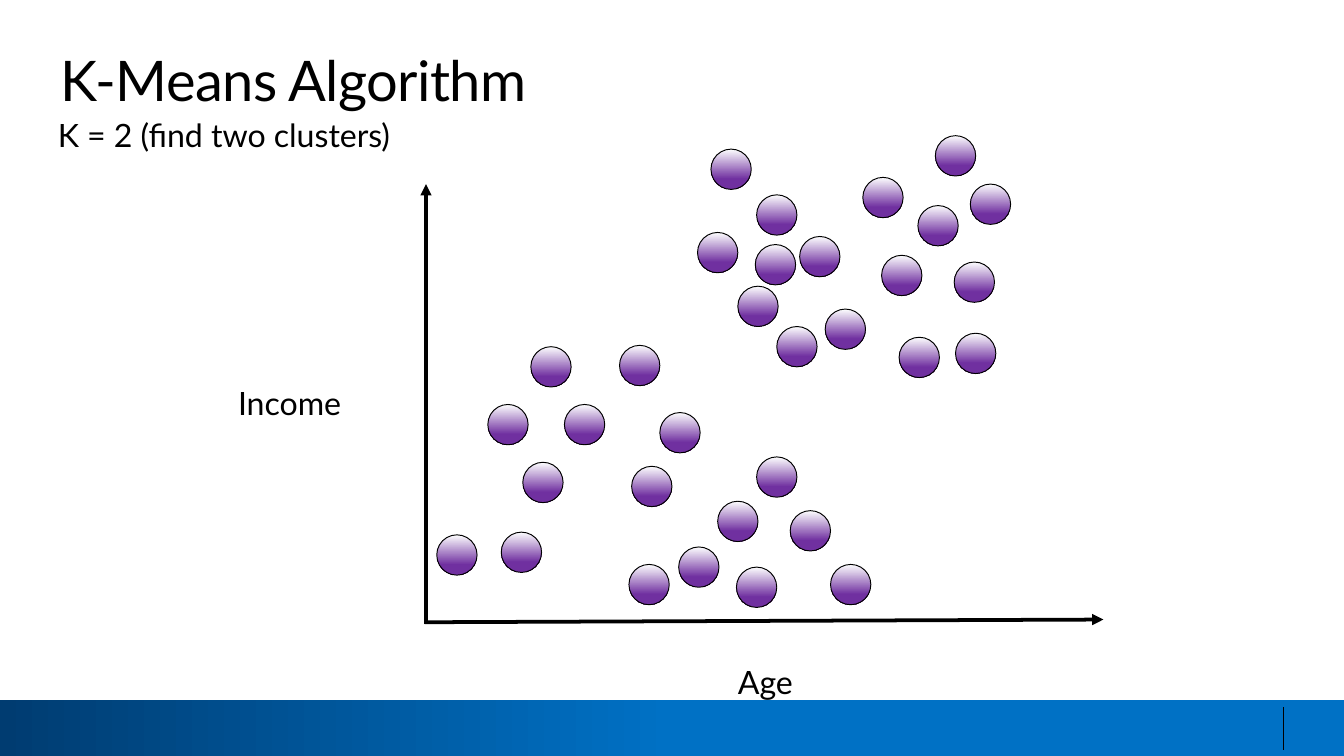
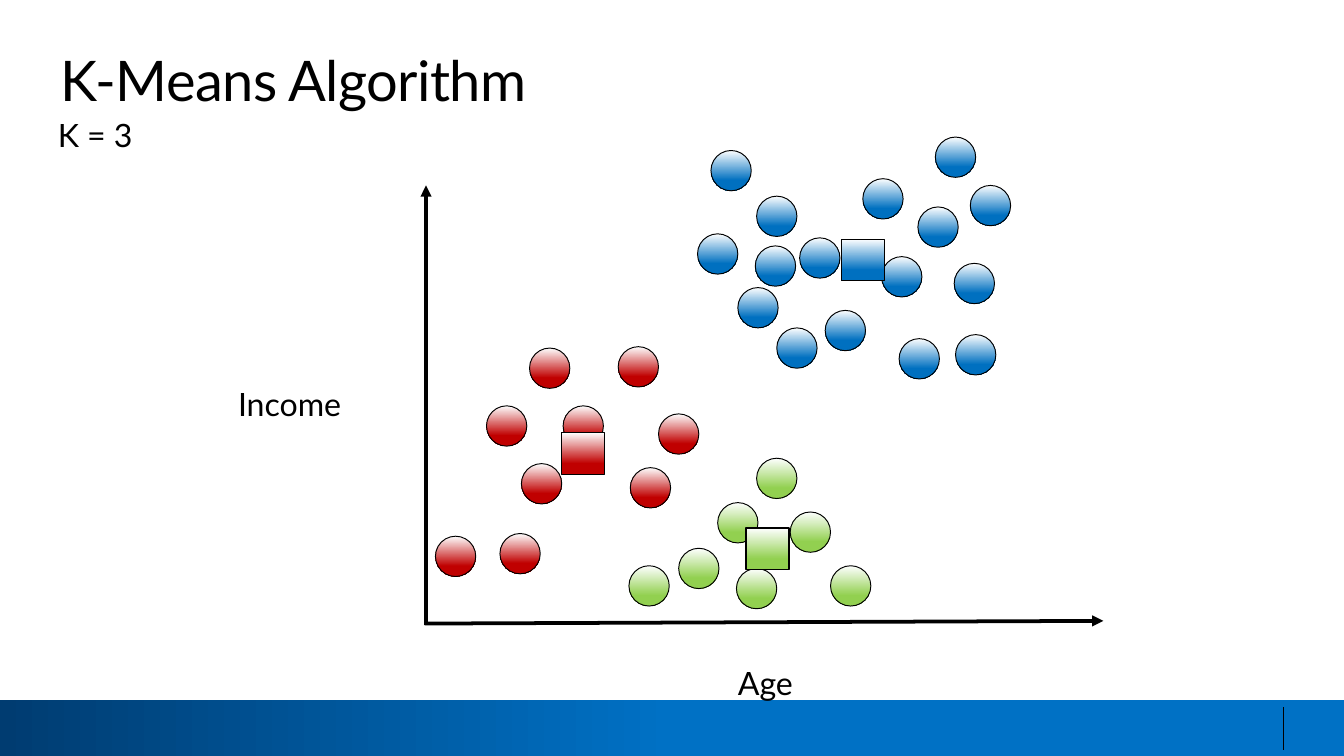
import dataclasses
import typing

import lxml.etree
import pptx
import pptx.dml.color
import pptx.dml.fill
import pptx.enum.shapes
import pptx.enum.text
import pptx.oxml.ns
import pptx.presentation
import pptx.shapes.base
import pptx.slide
import pptx.util

Inches = pptx.util.Inches
Pt = pptx.util.Pt
Align = pptx.enum.text.PP_ALIGN
ShapeType = pptx.enum.shapes.MSO_SHAPE

COLORS = {
    "black": "000000",
    "highlight": "FEFFFF",
    "band_dark": "003C71",
    "band_light": "0071C5",
    "purple": "7030A0",
    "blue": "0070C0",
    "red": "C00000",
    "green": "92D050",
}
FONT = "Lato"
SLIDE_WIDTH = 10
SLIDE_HEIGHT = SLIDE_WIDTH * 9 / 16
BAND_TOP = 5.21
POINT_SIZE = 0.3
CENTROID_WIDTH, CENTROID_HEIGHT = 0.32, 0.31

UPPER_POINTS = (
    (5.29, 1.11), (5.19, 1.73), (5.63, 1.45), (5.62, 1.82),
    (5.49, 2.13), (5.95, 1.76), (6.14, 2.3), (5.78, 2.43),
    (6.69, 2.51), (7.11, 2.48), (7.1, 1.95), (6.56, 1.9),
    (6.83, 1.53), (7.22, 1.37), (6.96, 1.01), (6.42, 1.32),
)
LEFT_POINTS = (
    (3.25, 3.98), (3.63, 3.01), (3.95, 2.58), (4.2, 3.01), (4.61, 2.57),
    (4.91, 3.07), (4.7, 3.47), (3.89, 3.44), (3.73, 3.96),
)
LOWER_POINTS = (
    (4.68, 4.2), (5.05, 4.07), (5.34, 3.73), (5.63, 3.4),
    (5.88, 3.8), (5.48, 4.22), (6.18, 4.2),
)


@dataclasses.dataclass(frozen=True)
class Box:
    left: float
    top: float
    width: float
    height: float

    def lengths(self) -> tuple[int, int, int, int]:
        return (Inches(self.left), Inches(self.top),
                Inches(self.width), Inches(self.height))

    def moved(self, across: float, down: float) -> "Box":
        return dataclasses.replace(
            self, left=self.left + across, top=self.top + down)


@dataclasses.dataclass(frozen=True)
class TextStyle:
    size: float
    align: Align = Align.LEFT
    line_spacing: typing.Optional[float] = None
    tracking: typing.Optional[int] = None


@dataclasses.dataclass(frozen=True)
class AxisLabel:
    text: str
    box: Box


@dataclasses.dataclass(frozen=True)
class Axis:
    start: tuple[float, float]
    end: tuple[float, float]


@dataclasses.dataclass(frozen=True)
class Cluster:
    points: tuple[tuple[float, float], ...]
    color: str
    shift: float = 0
    centroid: typing.Optional[tuple[float, float]] = None


@dataclasses.dataclass(frozen=True)
class ClusterSlide:
    subtitle: str
    subtitle_width: float
    drop: float
    clusters: tuple[Cluster, ...]


TITLE = "K-Means Algorithm"
TITLE_BOX = Box(0.44, 0.34, 9.23, 0.5)
TITLE_STYLE = TextStyle(30, tracking=-30)
SUBTITLE_STYLE = TextStyle(17.2)
LABEL_STYLE = TextStyle(17.2, Align.CENTER, 28.5)
AXIS_LABELS = (
    AxisLabel("Age", Box(3.88, 4.82, 3.62, 0.38)),
    AxisLabel("Income", Box(1.62, 2.74, 1.06, 0.38)),
)
AXES = (
    Axis((3.17, 4.64), (3.17, 1.37)),
    Axis((3.16, 4.63), (8.21, 4.61)),
)
SLIDES = (
    ClusterSlide("K = 2 (find two clusters)", 3.28, 0, (
        Cluster(UPPER_POINTS, "purple"),
        Cluster(LEFT_POINTS, "purple"),
        Cluster(LOWER_POINTS, "purple"),
    )),
    ClusterSlide("K = 3", 5.08, 0.01, (
        Cluster(UPPER_POINTS, "blue", centroid=(6.26, 1.78)),
        Cluster(LEFT_POINTS, "red", shift=-0.01, centroid=(4.18, 3.22)),
        Cluster(LOWER_POINTS, "green", centroid=(5.55, 3.93)),
    )),
)


def rgb(name: str) -> pptx.dml.color.RGBColor:
    return pptx.dml.color.RGBColor.from_string(COLORS[name])


def fill_gradient(fill: pptx.dml.fill.FillFormat, start: str, end: str,
                  end_position: float, angle: float) -> None:
    fill.gradient()
    fill.gradient_angle = angle
    stops = zip(fill.gradient_stops, (start, end), (0, end_position))
    for stop, color, position in stops:
        stop.color.rgb = rgb(color)
        stop.position = position


def write_text(shape: pptx.shapes.base.BaseShape, text: str,
               style: TextStyle) -> None:
    frame = shape.text_frame
    frame.word_wrap = True
    frame.auto_size = pptx.enum.text.MSO_AUTO_SIZE.SHAPE_TO_FIT_TEXT
    frame.vertical_anchor = pptx.enum.text.MSO_ANCHOR.TOP
    frame.margin_left = frame.margin_right = Inches(0)
    frame.margin_top = frame.margin_bottom = Inches(0)
    paragraph = frame.paragraphs[0]
    paragraph.alignment = style.align
    if style.line_spacing is not None:
        paragraph.line_spacing = Pt(style.line_spacing)
    run = paragraph.add_run()
    run.text = text
    run.font.name = FONT
    run.font.size = Pt(style.size)
    run.font.color.rgb = rgb("black")
    paragraph_properties = paragraph._p.get_or_add_pPr()
    paragraph_properties.set("marL", str(Inches(0.01)))
    if style.tracking is not None:
        run._r.get_or_add_rPr().set("spc", str(style.tracking))


def add_text(slide: pptx.slide.Slide, text: str, box: Box,
             style: TextStyle) -> None:
    write_text(slide.shapes.add_textbox(*box.lengths()), text, style)


def add_line(slide: pptx.slide.Slide, start: tuple[float, float],
             end: tuple[float, float], width: float,
             arrow: bool = False) -> None:
    connector = slide.shapes.add_connector(
        pptx.enum.shapes.MSO_CONNECTOR.STRAIGHT,
        *(Inches(value) for value in (*start, *end)))
    connector.line.color.rgb = rgb("black")
    connector.line.width = Pt(width)
    properties = connector.element.spPr
    if arrow:
        outline = properties.find(pptx.oxml.ns.qn("a:ln"))
        lxml.etree.SubElement(
            outline, pptx.oxml.ns.qn("a:tailEnd"), type="triangle")
    lxml.etree.SubElement(properties, pptx.oxml.ns.qn("a:effectLst"))


def add_marker(slide: pptx.slide.Slide, kind: ShapeType, box: Box,
               color: str, line_width: float) -> None:
    marker = slide.shapes.add_shape(kind, *box.lengths())
    marker.shadow.inherit = False
    fill_gradient(marker.fill, "highlight", color, 0.74, 270)
    marker.line.color.rgb = rgb("black")
    marker.line.width = Pt(line_width)


def add_footer_band(slide: pptx.slide.Slide) -> None:
    box = Box(0, BAND_TOP, SLIDE_WIDTH, SLIDE_HEIGHT - BAND_TOP)
    band = slide.shapes.add_shape(ShapeType.RECTANGLE, *box.lengths())
    band.shadow.inherit = False
    band.line.fill.background()
    fill_gradient(band.fill, "band_dark", "band_light", 0.5, 0)
    add_line(slide, (9.55, 5.26), (9.55, 5.58), 0.75)


def add_title(slide: pptx.slide.Slide) -> None:
    title = slide.shapes.title
    title.left, title.top, title.width, title.height = TITLE_BOX.lengths()
    write_text(title, TITLE, TITLE_STYLE)


def add_axes(slide: pptx.slide.Slide, drop: float) -> None:
    for label in AXIS_LABELS:
        add_text(slide, label.text, label.box.moved(0, drop), LABEL_STYLE)
    for axis in AXES:
        start, end = ((x, y + drop) for x, y in (axis.start, axis.end))
        add_line(slide, start, end, 2, arrow=True)


def add_clusters(slide: pptx.slide.Slide, clusters: tuple[Cluster, ...],
                 drop: float) -> None:
    for cluster in clusters:
        for left, top in cluster.points:
            box = Box(left, top, POINT_SIZE, POINT_SIZE)
            add_marker(slide, ShapeType.OVAL,
                       box.moved(cluster.shift, drop), cluster.color, 0.5)
    for cluster in clusters:
        if cluster.centroid is not None:
            box = Box(*cluster.centroid, CENTROID_WIDTH, CENTROID_HEIGHT)
            add_marker(slide, ShapeType.RECTANGLE, box, cluster.color, 0.75)


def add_cluster_slide(presentation: pptx.presentation.Presentation,
                      content: ClusterSlide) -> None:
    layout = presentation.slide_layouts.get_by_name("Title Only")
    slide = presentation.slides.add_slide(layout)
    add_footer_band(slide)
    add_title(slide)
    add_text(slide, content.subtitle,
             Box(0.42, 0.86, content.subtitle_width, 0.29), SUBTITLE_STYLE)
    add_axes(slide, content.drop)
    add_clusters(slide, content.clusters, content.drop)


def main() -> None:
    presentation = pptx.Presentation()
    presentation.slide_width = Inches(SLIDE_WIDTH)
    presentation.slide_height = Inches(SLIDE_HEIGHT)
    for content in SLIDES:
        add_cluster_slide(presentation, content)
    presentation.save("out.pptx")


if __name__ == "__main__":
    main()
